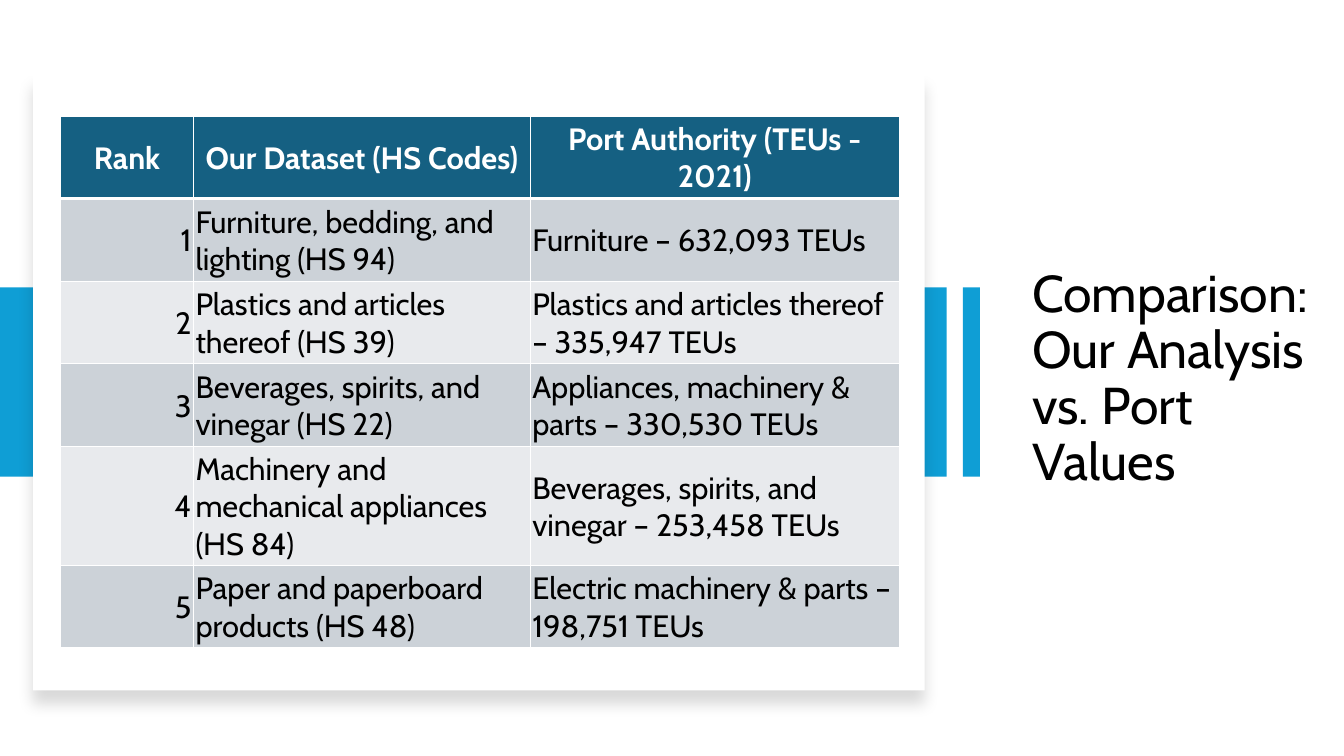
from dataclasses import dataclass

from lxml import etree
from pptx import Presentation
from pptx.dml.color import RGBColor
from pptx.enum.shapes import MSO_SHAPE
from pptx.enum.text import MSO_ANCHOR, PP_ALIGN
from pptx.oxml.ns import qn
from pptx.util import Inches, Pt

RECTANGLE = MSO_SHAPE.RECTANGLE
MIDDLE = MSO_ANCHOR.MIDDLE
LEFT, CENTER, RIGHT = PP_ALIGN.LEFT, PP_ALIGN.CENTER, PP_ALIGN.RIGHT

HEADINGS = ("Rank", "Our Dataset (HS Codes)", "Port Authority (TEUs - 2021)")
RANKING = (
    ("Furniture, bedding, and lighting (HS 94)", "Furniture – 632,093 TEUs"),
    ("Plastics and articles thereof (HS 39)", "Plastics and articles thereof – 335,947 TEUs"),
    ("Beverages, spirits, and vinegar (HS 22)", "Appliances, machinery & parts – 330,530 TEUs"),
    ("Machinery and mechanical appliances (HS 84)", "Beverages, spirits, and vinegar – 253,458 TEUs"),
    ("Paper and paperboard products (HS 48)", "Electric machinery & parts – 198,751 TEUs"),
)
COLUMN_WIDTHS = (1.32, 3.34, 3.66)
ROW_HEIGHTS = (0.82, 0.82, 0.82, 0.82, 1.18, 0.82)


@dataclass(frozen=True)
class Theme:
    font: str = "Cabin"
    title_size: float = 37
    table_size: float = 22
    text: str = "000000"
    white: str = "FFFFFF"
    accent: str = "0F9ED5"
    header: str = "156082"
    bands: tuple = ("CCD2D8", "E8EAED")
    rule: float = 1
    header_rule: float = 3


class SlideBuilder:
    def __init__(self, slide, theme):
        self.slide = slide
        self.theme = theme

    def style_paragraph(self, paragraph, size, color, bold=False):
        for run in paragraph.runs:
            run.font.name = self.theme.font
            run.font.size = Pt(size)
            run.font.bold = bold
            run.font.color.rgb = RGBColor.from_string(color)

    def title(self, wording, left, top, width, height):
        heading = self.slide.shapes.add_textbox(
            Inches(left), Inches(top), Inches(width), Inches(height))
        frame = heading.text_frame
        frame.word_wrap = True
        frame.vertical_anchor = MIDDLE
        frame.text = wording
        paragraph = frame.paragraphs[0]
        paragraph.line_spacing = 0.9
        self.style_paragraph(paragraph, self.theme.title_size, self.theme.text)

    def panel(self, color, left, top, width, height):
        panel = self.slide.shapes.add_shape(
            RECTANGLE, Inches(left), Inches(top), Inches(width), Inches(height))
        panel.shadow.inherit = False
        panel.fill.solid()
        panel.fill.fore_color.rgb = RGBColor.from_string(color)
        panel.line.fill.background()
        return panel

    def drop_shadow(self, panel, opacity, blur, distance, angle):
        effects = panel.fill._xPr.find(qn("a:effectLst"))
        shadow = etree.SubElement(
            effects, qn("a:outerShdw"), blurRad=str(Pt(blur)), dist=str(Pt(distance)),
            dir=str(angle * 60000), algn="t", rotWithShape="0")
        tint = etree.SubElement(shadow, qn("a:srgbClr"), val=self.theme.text)
        etree.SubElement(tint, qn("a:alpha"), val=str(opacity * 1000))

    def borders(self, cell, top, bottom):
        properties = cell._tc.get_or_add_tcPr()
        rule = self.theme.rule
        for edge, width in (("lnL", rule), ("lnR", rule), ("lnT", top), ("lnB", bottom)):
            line = etree.SubElement(properties, qn(f"a:{edge}"), w=str(Pt(width)))
            paint = etree.SubElement(line, qn("a:solidFill"))
            etree.SubElement(paint, qn("a:srgbClr"), val=self.theme.white)

    def cell(self, cell, wording, row, align):
        theme = self.theme
        is_header = row == 0
        self.borders(
            cell,
            theme.header_rule if row == 1 else theme.rule,
            theme.header_rule if is_header else theme.rule)
        fill = theme.header if is_header else theme.bands[(row - 1) % 2]
        cell.fill.solid()
        cell.fill.fore_color.rgb = RGBColor.from_string(fill)
        cell.margin_left = cell.margin_right = cell.margin_top = Inches(0.02)
        cell.margin_bottom = Inches(0)
        cell.vertical_anchor = MIDDLE
        cell.text_frame.text = wording
        paragraph = cell.text_frame.paragraphs[0]
        paragraph.alignment = CENTER if is_header else align
        color = theme.white if is_header else theme.text
        self.style_paragraph(paragraph, theme.table_size, color, is_header)

    def table(self, records, left, top, widths, heights, alignments):
        table = self.slide.shapes.add_table(
            len(heights), len(widths), Inches(left), Inches(top),
            Inches(sum(widths)), Inches(sum(heights))).table
        for column, width in zip(table.columns, widths):
            column.width = Inches(width)
        for row, height in zip(table.rows, heights):
            row.height = Inches(height)
        for row, record in enumerate(records):
            for column, wording in enumerate(record):
                self.cell(table.cell(row, column), wording, row, alignments[column])


def main():
    presentation = Presentation()
    presentation.slide_width = Inches(13.33)
    presentation.slide_height = Inches(7.5)
    theme = Theme()
    builder = SlideBuilder(
        presentation.slides.add_slide(presentation.slide_layouts[6]), theme)

    builder.title("Comparison: Our Analysis vs. Port Values", 10.14, 2.21, 3.04, 3.11)
    band_top, band_height = 2.85, 1.88
    builder.panel(theme.accent, 0, band_top, 9.39, band_height)
    card = builder.panel(theme.white, 0.33, 0.73, 8.84, 6.12)
    builder.drop_shadow(card, opacity=15, blur=11, distance=10, angle=90)
    builder.panel(theme.accent, 9.55, band_top, 0.17, band_height)

    records = [HEADINGS]
    records += [(str(rank), *goods) for rank, goods in enumerate(RANKING, 1)]
    builder.table(records, 0.6, 1.15, COLUMN_WIDTHS, ROW_HEIGHTS, (RIGHT, LEFT, LEFT))

    presentation.save("out.pptx")


if __name__ == "__main__":
    main()
